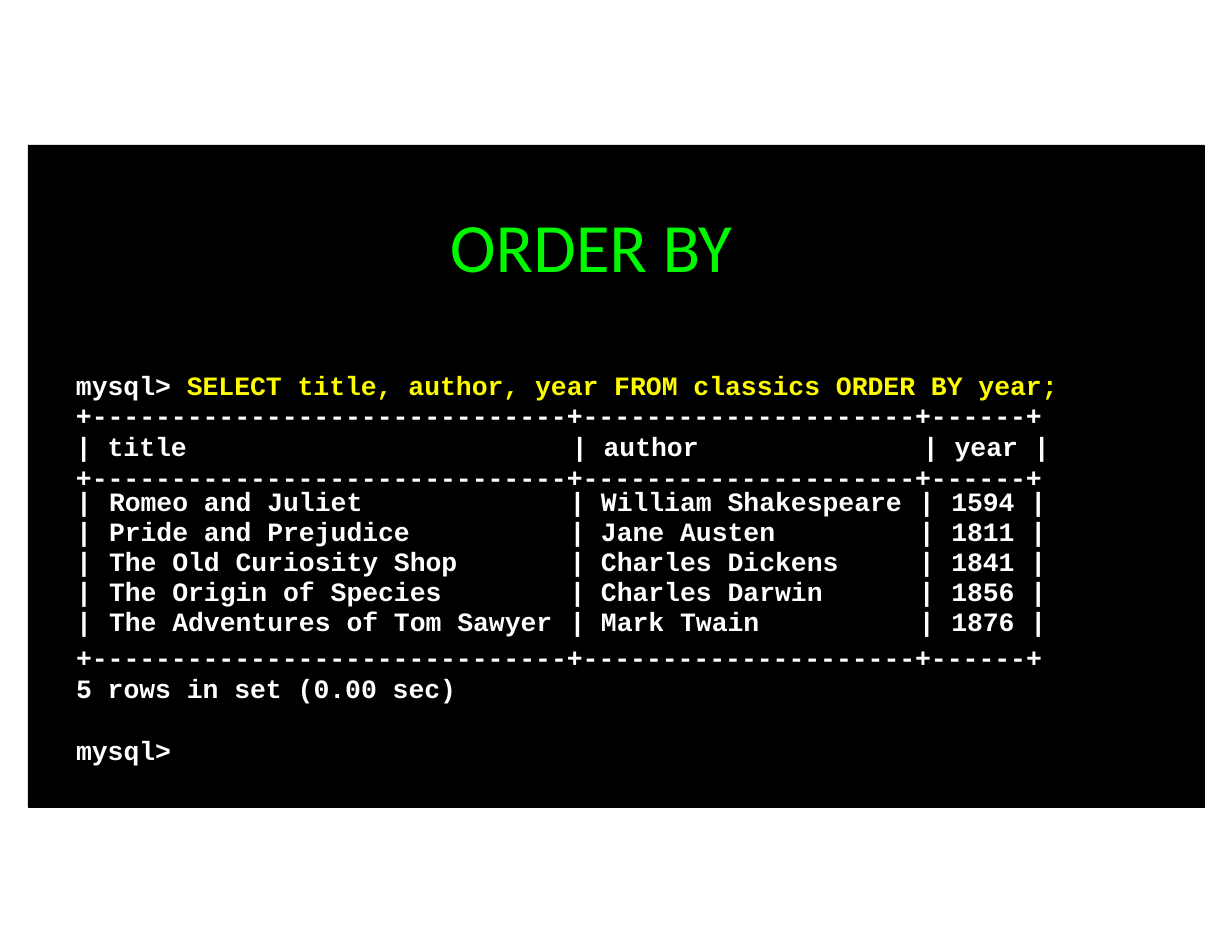
from lxml import etree
from pptx import Presentation
from pptx import util as u
from pptx.dml.color import RGBColor
from pptx.enum import shapes, text
from pptx.oxml.ns import qn

PX = 914400 / 112  # EMU in one px
BLACK = RGBColor(0x00, 0x00, 0x00)
GREEN = RGBColor(0x00, 0xF9, 0x00)
WHITE = RGBColor(0xFE, 0xFF, 0xFF)
YELLOW = RGBColor(0xFE, 0xFB, 0x00)
NO_STYLE = "{2D5ABB26-0587-4C30-8999-92F81FD0307C}"
RULE = "+------------------------------+---------------------+------+"


def add_box(left, top, width, height, inset_top):
    box = page.shapes.add_textbox(*[round(v * PX) for v in (left, top, width, height)])
    frame = box.text_frame
    frame.word_wrap = True
    frame.margin_left = round(PX)
    frame.margin_top = round(inset_top * PX)
    frame.margin_right = frame.margin_bottom = 0
    return frame


def add_span(para, words, color=WHITE, font="Courier New", size=17, bold=True, spacing=-5):
    span = para.add_run()
    span.text = words
    span.font.name = font
    span.font.size = u.Pt(size)
    span.font.bold = bold
    span.font.color.rgb = color
    span.font._element.set("spc", str(spacing))


deck = Presentation()
deck.slide_width = u.Inches(11)
deck.slide_height = u.Inches(8.5)
page = deck.slides.add_slide(deck.slide_layouts[6])

# Terminal panel
panel = page.shapes.add_shape(shapes.MSO_SHAPE.RECTANGLE,
                              *[round(v * PX) for v in (28, 145, 1176, 662)])
panel.shadow.inherit = False
panel.fill.solid()
panel.fill.fore_color.rgb = BLACK
panel.line.color.rgb = BLACK
panel.line.width = u.Pt(0.5)

# Title
title = add_box(449, 200, 330, 87, 3)
add_span(title.paragraphs[0], "ORDER BY", GREEN, "Calibri", 44.5, False)

# Query and column headings
query = add_box(75, 366, 987, 127, 4)
query_lines = [
    (19.9, [("mysql> ", WHITE),
            ("SELECT title, author, year FROM classics ORDER BY year;", YELLOW)]),
    (19.5, [(RULE, WHITE)]),
    (19.4, [("| title\t| author\t| year |", WHITE)]),
    (19.9, [(RULE, WHITE)]),
]
for index, (spacing, spans) in enumerate(query_lines):
    para = query.add_paragraph() if index else query.paragraphs[0]
    para.line_spacing = u.Pt(spacing)
    for words, color in spans:
        add_span(para, words, color)

heading_props = query.paragraphs[2]._p.get_or_add_pPr()
tabs = etree.SubElement(heading_props, qn("a:tabLst"))
for stop in (496, 847):
    etree.SubElement(tabs, qn("a:tab"), pos=str(round(stop * PX)), algn="l")

# Result rows
books = [
    ("Romeo and Juliet", "William Shakespeare", "1594"),
    ("Pride and Prejudice", "Jane Austen", "1811"),
    ("The Old Curiosity Shop", "Charles Dickens", "1841"),
    ("The Origin of Species", "Charles Darwin", "1856"),
    ("The Adventures of Tom Sawyer", "Mark Twain", "1876"),
]
LEFT, CENTER = text.PP_ALIGN.LEFT, text.PP_ALIGN.CENTER
# width, left inset, alignment
columns = [(28, 3, LEFT), (460, 8, LEFT), (32, 1, CENTER), (318, 8, LEFT),
           (32, 0, CENTER), (80, 0, CENTER), (28, 3, CENTER)]
ROW = 30
total = sum(column[0] for column in columns)
holder = page.shapes.add_table(len(books), len(columns),
                               *[round(v * PX) for v in (73, 492, total, ROW * len(books))])
table = holder.table
table.first_row = table.horz_banding = False
holder._element.find(".//" + qn("a:tableStyleId")).text = NO_STYLE
for column, (width, _, _) in zip(table.columns, columns):
    column.width = round(width * PX)
for row, (name, author, year) in zip(table.rows, books):
    row.height = round(ROW * PX)
    values = ("|", name, "|", author, "|", year, "|")
    for cell, words, (_, inset, align) in zip(row.cells, values, columns):
        cell.fill.solid()
        cell.fill.fore_color.rgb = BLACK
        cell.margin_left = round(inset * PX)
        cell.margin_top = cell.margin_right = cell.margin_bottom = 0
        para = cell.text_frame.paragraphs[0]
        para.alignment = align
        para.line_spacing = u.Pt(17.6)
        add_span(para, words, spacing=0 if words == "|" else -5)

# Closing rule, row count and prompt
footer = add_box(75, 638, 971, 127, 4)
for index, (words, before) in enumerate([(RULE, 0), ("5 rows in set (0.00 sec)", 0),
                                         ("mysql>", 20)]):
    para = footer.add_paragraph() if index else footer.paragraphs[0]
    para.line_spacing = u.Pt(19.9)
    para.space_before = u.Pt(before)
    add_span(para, words)

deck.save("out.pptx")
